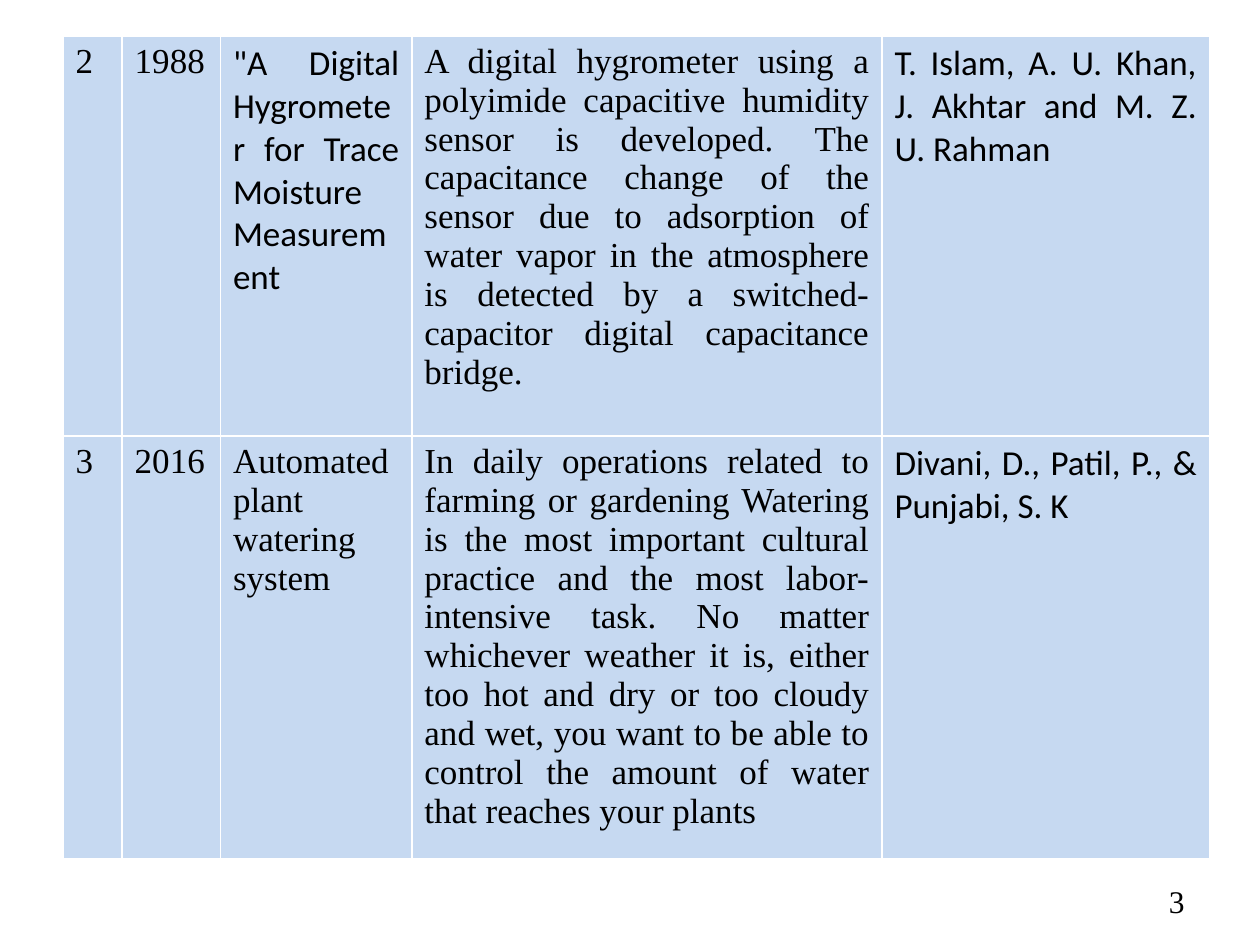
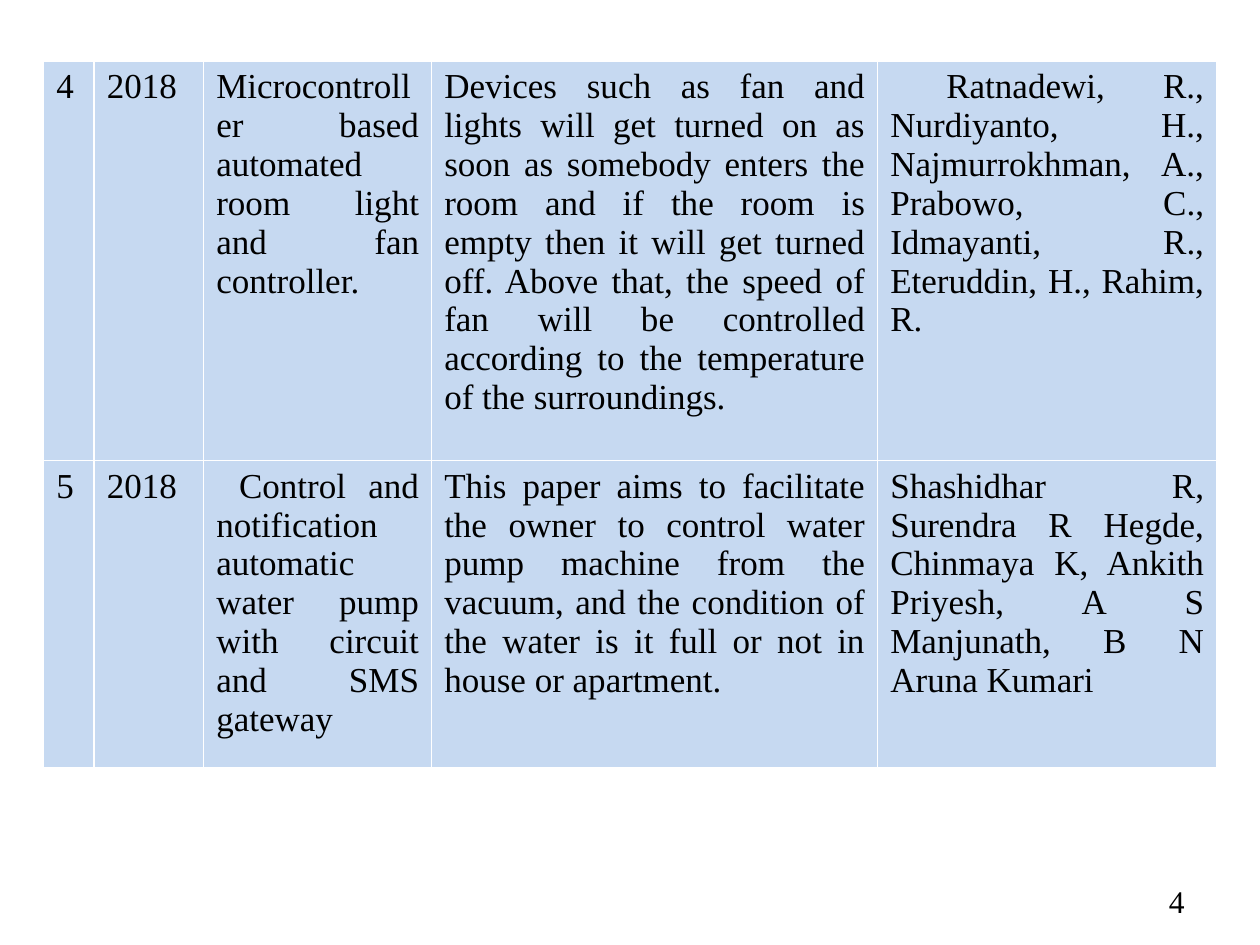
from dataclasses import dataclass

from lxml import etree
from pptx import Presentation
from pptx import util as u
from pptx.dml.color import RGBColor
from pptx.enum import text
from pptx.oxml import ns


@dataclass(frozen=True)
class Theme:
    ink: RGBColor = RGBColor.from_string("000000")
    cell: RGBColor = RGBColor.from_string("C6D9F1")
    rule: str = "FFFFFF"
    rule_width: int = u.Pt(1)
    serif: str = "Times New Roman"
    sans: str = "Calibri"
    table_size: int = u.Pt(20)
    number_size: int = u.Pt(18)


theme = Theme()


def add_span(para, words, font, size):
    span = para.add_run()
    span.text = words
    span.font.name = font
    span.font.size = size
    span.font.color.rgb = theme.ink


def add_borders(cell):
    properties = cell._tc.get_or_add_tcPr()
    for side in ("lnL", "lnR", "lnT", "lnB"):
        line = etree.SubElement(properties, ns.qn(f"a:{side}"), w=str(theme.rule_width))
        fill = etree.SubElement(line, ns.qn("a:solidFill"))
        etree.SubElement(fill, ns.qn("a:srgbClr"), val=theme.rule)


# Literature survey: number, year, title, summary, authors
surveys = [
    {
        "page": 3,
        "corner": (36, 20.5),
        "columns": (33.8, 56.2, 109.4, 268.6, 187.2),
        "heights": (228.6, 241.9),
        "sans_cells": {(0, 2), (0, 4), (1, 4)},
        "indents": {},
        "papers": [
            ("2", "1988", "\"A Digital Hygrometer for Trace Moisture Measurement",
             "A digital hygrometer using a polyimide capacitive humidity sensor is "
             "developed. The capacitance change of the sensor due to adsorption of "
             "water vapor in the atmosphere is detected by a switched-capacitor "
             "digital capacitance bridge.",
             "T. Islam, A. U. Khan, J. Akhtar and M. Z. U. Rahman"),
            ("3", "2016", "Automated plant watering system",
             "In daily operations related to farming or gardening Watering is the "
             "most important cultural practice and the most labor-intensive task. "
             "No matter whichever weather it is, either too hot and dry or too "
             "cloudy and wet, you want to be able to control the amount of water "
             "that reaches your plants",
             "Divani, D., Patil, P., & Punjabi, S. K"),
        ],
    },
    {
        "page": 4,
        "corner": (25, 35),
        "columns": (28.8, 62.6, 130.3, 254.9, 193.7),
        "heights": (228.2, 174.2),
        "sans_cells": set(),
        "indents": {(0, 4): 32, (1, 2): 13},
        "papers": [
            ("4", "2018", "Microcontroller based automated room light and fan controller.",
             "Devices such as fan and lights will get turned on as soon as somebody "
             "enters the room and if the room is empty then it will get turned off. "
             "Above that, the speed of fan will be controlled according to the "
             "temperature of the surroundings.",
             "Ratnadewi, R., Nurdiyanto, H., Najmurrokhman, A., Prabowo, C., "
             "Idmayanti, R., Eteruddin, H., Rahim, R."),
            ("5", "2018",
             "Control and notification automatic water pump with circuit and SMS gateway",
             "This paper aims to facilitate the owner to control water pump machine "
             "from the vacuum, and the condition of the water is it full or not in "
             "house or apartment.",
             "Shashidhar R, Surendra R Hegde, Chinmaya K, Ankith Priyesh, "
             "A S Manjunath, B N Aruna Kumari"),
        ],
    },
]

deck = Presentation()
deck.slide_width, deck.slide_height = u.Pt(720), u.Pt(540)

for survey in surveys:
    page = deck.slides.add_slide(deck.slide_layouts[6])

    # Table frame
    left, top = survey["corner"]
    columns, heights = survey["columns"], survey["heights"]
    table = page.shapes.add_table(
        len(heights), len(columns), u.Pt(left), u.Pt(top),
        u.Pt(sum(columns)), u.Pt(sum(heights))).table
    table.first_row = table.horz_banding = False
    for column, width in zip(table.columns, columns):
        column.width = u.Pt(width)
    for row, height in zip(table.rows, heights):
        row.height = u.Pt(height)

    # Papers, one a row
    for row_index, paper in enumerate(survey["papers"]):
        for column_index, words in enumerate(paper):
            place = (row_index, column_index)
            cell = table.cell(*place)
            add_borders(cell)
            cell.fill.solid()
            cell.fill.fore_color.rgb = theme.cell
            para = cell.text_frame.paragraphs[0]
            para.alignment = text.PP_ALIGN.JUSTIFY
            if place in survey["indents"]:
                para._p.get_or_add_pPr().set("indent", str(u.Pt(survey["indents"][place])))
            font = theme.sans if place in survey["sans_cells"] else theme.serif
            add_span(para, words, font, theme.table_size)

    # Page number
    box = page.shapes.add_textbox(u.Pt(516), u.Pt(500.4), u.Pt(168), u.Pt(28.8))
    box.text_frame.word_wrap = True
    box.text_frame.vertical_anchor = text.MSO_ANCHOR.MIDDLE
    para = box.text_frame.paragraphs[0]
    para.alignment = text.PP_ALIGN.RIGHT
    add_span(para, str(survey["page"]), theme.serif, theme.number_size)

deck.save("out.pptx")
